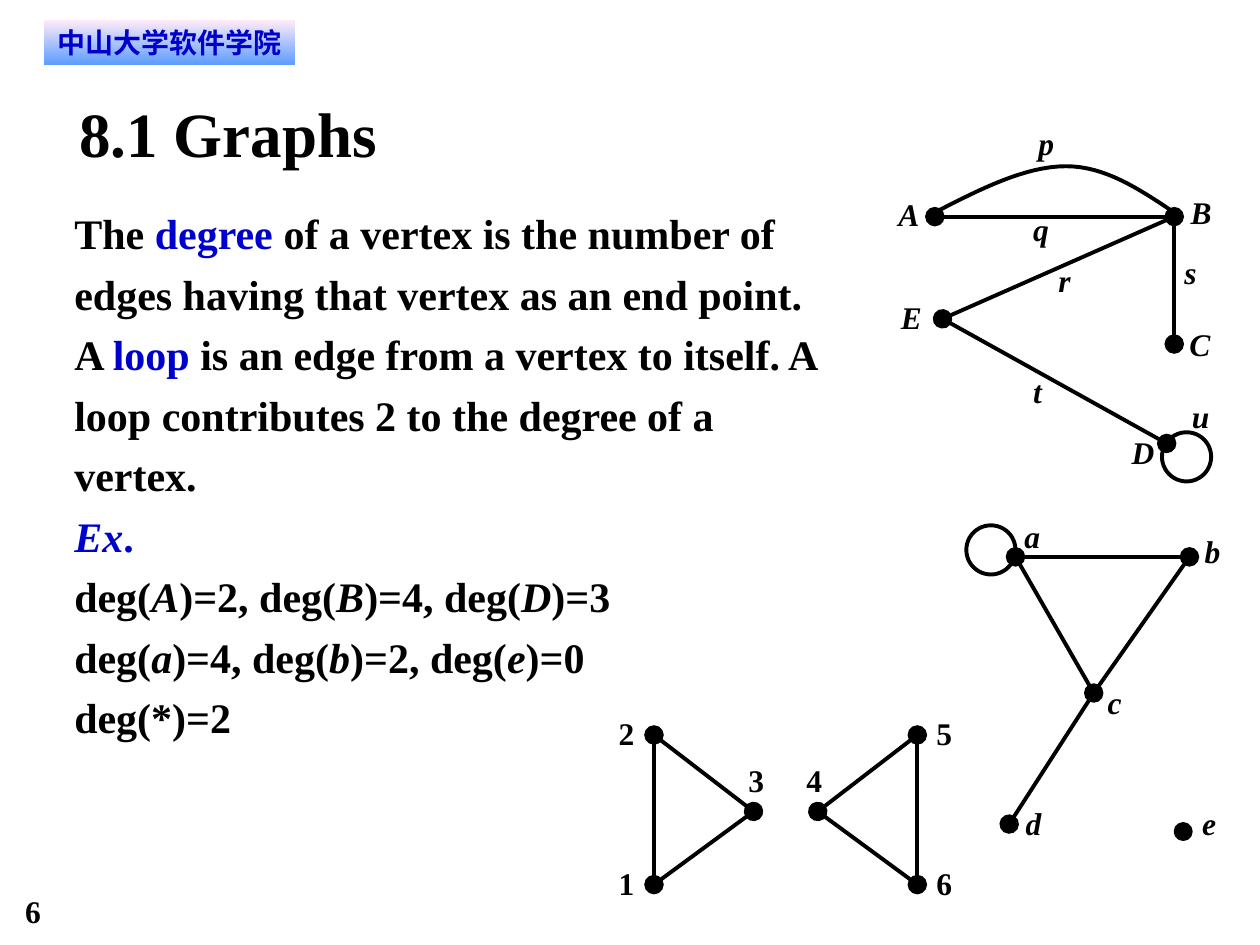
from lxml import etree
from pptx import Presentation
from pptx.dml.color import RGBColor
from pptx.enum.shapes import MSO_CONNECTOR, MSO_SHAPE
from pptx.enum.text import MSO_ANCHOR, PP_ALIGN
from pptx.oxml.ns import qn
from pptx.util import Pt

STRAIGHT = MSO_CONNECTOR.STRAIGHT
OVAL = MSO_SHAPE.OVAL
RECTANGLE = MSO_SHAPE.RECTANGLE
CENTER = PP_ALIGN.CENTER
MIDDLE = MSO_ANCHOR.MIDDLE

BODY = [
    [("The ", ""), ("degree ", "blue"),
     ("of a vertex is the number of edges having that vertex as an end point.", "")],
    [("A ", ""), ("loop", "blue"),
     (" is an edge from a vertex to itself. A loop contributes 2 to the degree of a vertex.", "")],
    [("Ex", "blue italic"), (".", "blue")],
    [("deg(", ""), ("A", "italic"), (")=2, deg(", ""), ("B", "italic"),
     (")=4, deg(", ""), ("D", "italic"), (")=3", "")],
    [("deg(", ""), ("a", "italic"), (")=4, deg(", ""), ("b", "italic"),
     (")=2, deg(", ""), ("e", "italic"), (")=0", "")],
    [("deg(*)=2", "")],
]

VERTICES = {
    "A": (534.2, 123.8), "B": (671, 123.8), "C": (671, 196.6),
    "D": (666.7, 253.4), "E": (538.6, 182.2),
    "a": (580.3, 318.2), "b": (679.7, 318.2), "c": (625, 396), "d": (576.7, 470.9),
    "1": (373.7, 505.5), "2": (373.7, 420), "3": (430.6, 463.7),
    "4": (467.3, 463.7), "5": (524.2, 420), "6": (524.2, 505.5),
}
EDGES = "AB EB ED BC ab ac cb dc 21 13 23 56 45 46".split()
LOOPS = [(664, 247), (552.2, 300.2)]
ARC = [(535, 121), (560.2, 108), (586.1, 95), (609.1, 95),
       (631.4, 95), (650.9, 108), (670.3, 121)]
LABELS = {
    "A": (513.4, 111.6), "B": (680.4, 110.2), "C": (679.7, 185.8),
    "D": (646.6, 247.7), "E": (514.8, 170.6),
    "p": (593.3, 70.6), "q": (590.4, 120.2), "r": (604.8, 149),
    "s": (676.8, 144.7), "t": (590.4, 212.4), "u": (681.1, 226.8),
    "a": (585.4, 295.2), "b": (688.3, 303.8), "c": (632.9, 390.2),
    "d": (586.1, 459.4), "e": (686.9, 459.4),
    "1": (353.5, 493.9), "2": (353.5, 408.2), "3": (427.7, 434.9),
    "4": (460.8, 434.9), "5": (535, 408.2), "6": (535, 493.9),
}


def color(value):
    return RGBColor.from_string(value)


def bezier(points, steps=16):
    start, first, second, end = points
    for step in range(1, steps + 1):
        t = step / steps
        yield tuple((1 - t) ** 3 * a + 3 * t * (1 - t) ** 2 * b
                    + 3 * t * t * (1 - t) * c + t ** 3 * d
                    for a, b, c, d in zip(start, first, second, end))


class GraphSlide:
    ink = "000000"
    accent = "0000CC"
    face = "Times New Roman"
    weight = 2.25

    def __init__(self, deck):
        self.slide = deck.slides.add_slide(deck.slide_layouts[6])
        self.shapes = self.slide.shapes
        self.visited = set()

    def style(self, span, size, tint, italic=False, face=face):
        span.font.name = face
        span.font.size = Pt(size)
        span.font.bold = True
        span.font.italic = italic
        span.font.color.rgb = color(tint)

    def frame(self, left, top, width, height):
        frame = self.shapes.add_textbox(Pt(left), Pt(top), Pt(width), Pt(height)).text_frame
        frame.word_wrap = True
        frame.margin_left = frame.margin_right = 0
        frame.margin_top = frame.margin_bottom = 0
        return frame

    def text(self, words, left, top, width, height, size, italic=False):
        frame = self.frame(left, top, width, height)
        frame.text = words
        self.style(frame.paragraphs[0].runs[0], size, self.ink, italic)

    def body(self, paragraphs, left, top, width, height, size):
        frame = self.frame(left, top, width, height)
        for index, pieces in enumerate(paragraphs):
            para = frame.add_paragraph() if index else frame.paragraphs[0]
            para.line_spacing = 1.2
            for words, look in pieces:
                span = para.add_run()
                span.text = words
                tint = self.accent if "blue" in look else self.ink
                self.style(span, size, tint, "italic" in look)

    def banner(self, words, left, top, width, height):
        box = self.shapes.add_shape(RECTANGLE, Pt(left), Pt(top), Pt(width), Pt(height))
        box.shadow.inherit = False
        box.line.fill.background()
        box.fill.gradient()
        box.fill.gradient_angle = 270
        for stop, tint, position in zip(box.fill.gradient_stops, ("FFEBFA", "5E9EFF"), (0, 1)):
            stop.color.rgb = color(tint)
            stop.position = position
        frame = box.text_frame
        frame.margin_left = frame.margin_right = Pt(5.76)
        frame.margin_top = frame.margin_bottom = Pt(2.88)
        frame.vertical_anchor = MIDDLE
        frame.text = words
        frame.paragraphs[0].alignment = CENTER
        self.style(frame.paragraphs[0].runs[0], 16, self.accent, face="DejaVu Sans")

    def outline(self, shape):
        shape.line.color.rgb = color(self.ink)
        shape.line.width = Pt(self.weight)

    def circle(self, left, top, size, filled=False):
        shape = self.shapes.add_shape(OVAL, Pt(left), Pt(top), Pt(size), Pt(size))
        shape.shadow.inherit = False
        self.outline(shape)
        if filled:
            shape.fill.solid()
            shape.fill.fore_color.rgb = color(self.ink)
        else:
            shape.fill.background()

    def edge(self, names):
        ends = [Pt(value) for name in names for value in VERTICES[name]]
        line = self.shapes.add_connector(STRAIGHT, *ends)
        self.outline(line)
        for name, tag in zip(names, ("a:headEnd", "a:tailEnd")):
            if name not in self.visited:
                etree.SubElement(line.line._get_or_add_ln(), qn(tag),
                                 type="oval", w="lg", len="lg")
                self.visited.add(name)
        etree.SubElement(line._element.spPr, qn("a:effectLst"))

    def curve(self, points):
        track = [*bezier(points[:4]), *bezier(points[3:])]
        builder = self.shapes.build_freeform(*map(Pt, points[0]))
        builder.add_line_segments([(Pt(x), Pt(y)) for x, y in track], close=False)
        shape = builder.convert_to_shape()
        shape.shadow.inherit = False
        shape.fill.background()
        self.outline(shape)


def main():
    deck = Presentation()
    deck.slide_width, deck.slide_height = Pt(720), Pt(540)
    page = GraphSlide(deck)
    page.text("6", 14.4, 509.8, 54, 21.6, 18)
    page.banner("中山大学软件学院", 25.2, 11.5, 143.3, 25.2)
    page.text("8.1 Graphs", 45.4, 54, 630, 43.2, 36)
    page.body(BODY, 42.5, 113, 437, 311, 24)
    for names in EDGES:
        page.edge(names)
    for left, top in LOOPS:
        page.circle(left, top, 28.1)
    page.circle(671.8, 470.9, 8.6, filled=True)
    page.curve(ARC)
    for words, (left, top) in LABELS.items():
        page.text(words, left, top, 13, 21.6, 18, italic=words.isalpha())
    deck.save("out.pptx")


if __name__ == "__main__":
    main()
